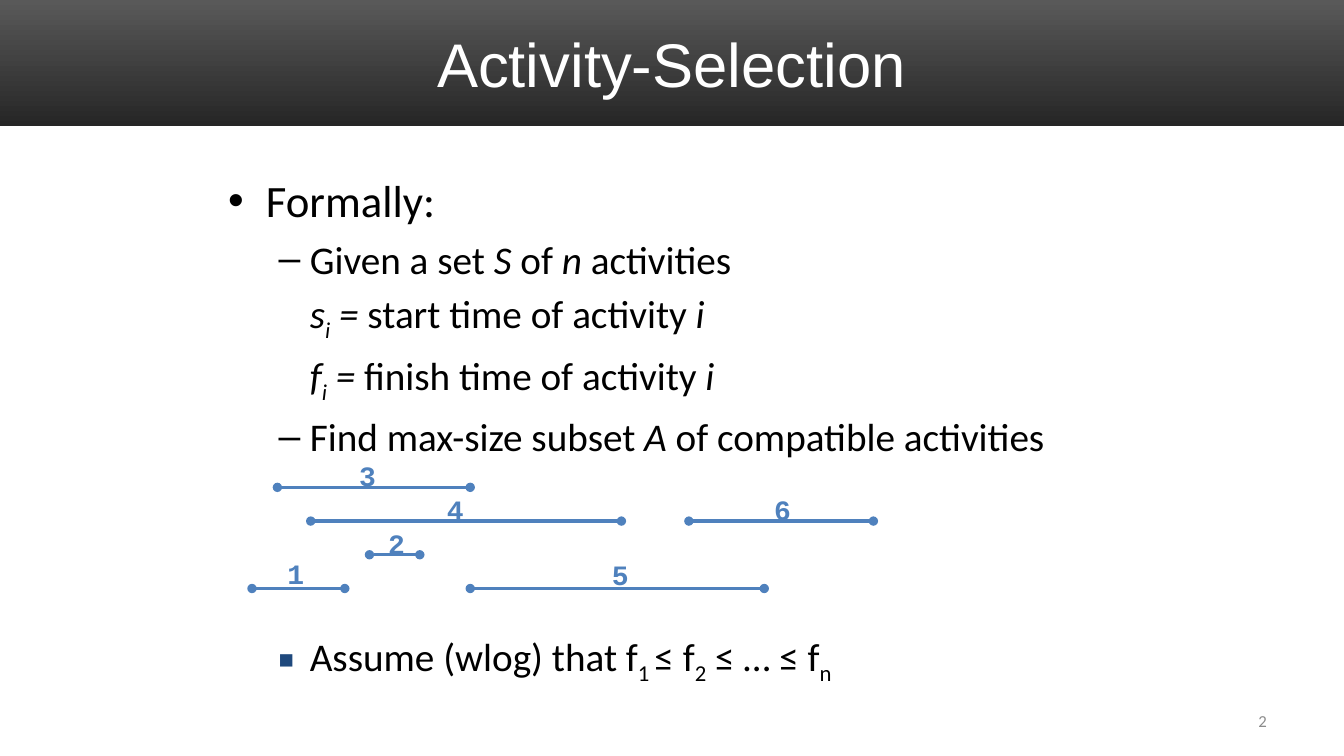
from typing import NamedTuple

from lxml import etree
from pptx import Presentation
from pptx.dml import color as clr
from pptx.enum import dml, shapes, text
from pptx.oxml import ns
from pptx.util import Cm, Pt

COLORS = {
    "band_top": "595959",
    "band_bottom": "262626",
    "title": "FFFFFF",
    "body": "000000",
    "activity": "4F81BD",
    "square": "1F497D",
    "number": "8C8C8C",
}
FIRST_ROW, ROW_STEP = 12.28, 0.85
LABEL_WIDTH, LABEL_HEIGHT = 0.94, 1.09


class Piece(NamedTuple):
    words: str
    italic: bool = False
    subscript: bool = False


class Line(NamedTuple):
    pieces: list[Piece]
    bullet: str = ""
    level: int = 1
    bullet_color: str = "body"
    bullet_percent: int = 100


class Activity(NamedTuple):
    number: int
    start: float
    finish: float
    row: int
    label_left: float
    label_lift: float = 0.85


class Level(NamedTuple):
    size: float
    margin: float
    hanging: float


LEVELS = [Level(32, 0.95, 0.95), Level(28, 2.06, 0.79)]

DEFINITION = [
    Line([Piece("Formally:")], "•", 0),
    Line([Piece("Given a set "), Piece("S", True), Piece(" of "),
          Piece("n", True), Piece(" activities")], "–"),
    *(Line([Piece(symbol, True), Piece("i", True, True), Piece(" = ", True),
            Piece(f"{moment} time of activity "), Piece("i", True)])
      for symbol, moment in (("s", "start"), ("f", "finish"))),
    Line([Piece("Find max-size subset "), Piece("A", True),
          Piece(" of compatible activities")], "–"),
]
ASSUMPTION = [
    Line([Piece("Assume (wlog) that f"), Piece("1 ", subscript=True),
          Piece("≤ f"), Piece("2", subscript=True),
          Piece(" ≤ … ≤ f"), Piece("n", subscript=True)],
         "■", bullet_color="square", bullet_percent=65),
]
ACTIVITIES = [
    Activity(1, 6.35, 8.69, 3, 6.99, 0.93),
    Activity(2, 9.31, 10.58, 2, 9.53),
    Activity(3, 6.99, 11.85, 0, 8.8),
    Activity(4, 7.83, 15.66, 1, 11.01),
    Activity(5, 11.85, 19.26, 3, 15.17, 0.9),
    Activity(6, 17.36, 22.01, 1, 19.26),
]


def rgb(name: str) -> clr.RGBColor:
    return clr.RGBColor.from_string(COLORS[name])


def add_run(paragraph, words: str, font: str, size: float, color: str):
    run = paragraph.add_run()
    run.text = words
    run.font.name = font
    run.font.size = Pt(size)
    run.font.color.rgb = rgb(color)
    return run


def add_bullet(paragraph, line: Line) -> None:
    level = LEVELS[line.level]
    props = paragraph._p.get_or_add_pPr()
    indent = level.hanging if line.bullet else 0
    props.set("marL", str(Cm(level.margin)))
    props.set("indent", str(-Cm(indent)))
    if not line.bullet:
        etree.SubElement(props, ns.qn("a:buNone"))
        return
    tint = etree.SubElement(props, ns.qn("a:buClr"))
    etree.SubElement(tint, ns.qn("a:srgbClr"), val=COLORS[line.bullet_color])
    etree.SubElement(props, ns.qn("a:buSzPct"),
                     val=str(line.bullet_percent * 1000))
    etree.SubElement(props, ns.qn("a:buFont"), typeface="Arial")
    etree.SubElement(props, ns.qn("a:buChar"), char=line.bullet)


def add_lines(slide, top: float, height: float, lines: list[Line]) -> None:
    frame = slide.shapes.add_textbox(
        Cm(5.5), Cm(top), Cm(22.86), Cm(height)).text_frame
    frame.word_wrap = True
    for index, line in enumerate(lines):
        paragraph = frame.add_paragraph() if index else frame.paragraphs[0]
        size = LEVELS[line.level].size
        add_bullet(paragraph, line)
        paragraph.level = line.level
        if index:
            paragraph.space_before = Pt(0.2 * size)
        for piece in line.pieces:
            run = add_run(paragraph, piece.words, "Calibri", size, "body")
            run.font.italic = piece.italic
            if piece.subscript:
                run._r.get_or_add_rPr().set("baseline", "-25000")


def add_interval(slide, activity: Activity) -> None:
    y = Cm(FIRST_ROW + activity.row * ROW_STEP)
    interval = slide.shapes.add_connector(
        shapes.MSO_CONNECTOR.STRAIGHT,
        Cm(activity.start), y, Cm(activity.finish), y)
    interval.line.color.rgb = rgb("activity")
    interval.line.width = Pt(2.25)
    outline = interval.line._get_or_add_ln()
    for end in ("a:headEnd", "a:tailEnd"):
        etree.SubElement(outline, ns.qn(end), type="oval")
    etree.SubElement(interval.element.spPr, ns.qn("a:effectLst"))


def add_label(slide, activity: Activity) -> None:
    top = FIRST_ROW + activity.row * ROW_STEP - activity.label_lift
    frame = slide.shapes.add_textbox(
        Cm(activity.label_left), Cm(top),
        Cm(LABEL_WIDTH), Cm(LABEL_HEIGHT)).text_frame
    frame.word_wrap = False
    frame.auto_size = text.MSO_AUTO_SIZE.SHAPE_TO_FIT_TEXT
    run = add_run(frame.paragraphs[0], str(activity.number),
                  "Courier New", 20, "activity")
    run.font.bold = True


def add_header(slide, width: int) -> None:
    band = slide.shapes.add_shape(
        shapes.MSO_SHAPE.RECTANGLE, 0, 0, width, Cm(3.18))
    band.shadow.inherit = False
    band.line.fill.background()
    band.fill.gradient()
    band.fill.gradient_angle = 270
    for stop, name in zip(band.fill.gradient_stops,
                          ("band_top", "band_bottom")):
        stop.color.rgb = rgb(name)

    title = slide.shapes.title
    title.element.addprevious(band.element)  # the band lies behind the title
    title.left, title.top = Cm(1.69), Cm(0.42)
    title.width, title.height = Cm(30.48), Cm(2.33)
    title.text_frame.vertical_anchor = text.MSO_ANCHOR.MIDDLE
    paragraph = title.text_frame.paragraphs[0]
    paragraph.alignment = text.PP_ALIGN.CENTER
    add_run(paragraph, "Activity-Selection", "Arial", 44, "title")


def add_slide_number(slide) -> None:
    frame = slide.shapes.add_textbox(
        Cm(24.28), Cm(17.65), Cm(7.9), Cm(1.02)).text_frame
    frame.word_wrap = True
    frame.vertical_anchor = text.MSO_ANCHOR.MIDDLE
    frame.paragraphs[0].alignment = text.PP_ALIGN.RIGHT
    add_run(frame.paragraphs[0], "2", "Calibri", 12, "number")


def main() -> None:
    deck = Presentation()
    deck.slide_width, deck.slide_height = Cm(33.87), Cm(19.05)
    slide = deck.slides.add_slide(deck.slide_layouts[5])
    add_header(slide, deck.slide_width)

    # Problem statement
    add_lines(slide, 4.24, 7.62, DEFINITION)

    # Timeline of activities
    for activity in ACTIVITIES:
        add_interval(slide, activity)
    for activity in ACTIVITIES:
        add_label(slide, activity)

    # Ordering assumption and slide number
    add_lines(slide, 15.82, 2.74, ASSUMPTION)
    add_slide_number(slide)
    deck.save("out.pptx")


if __name__ == "__main__":
    main()
